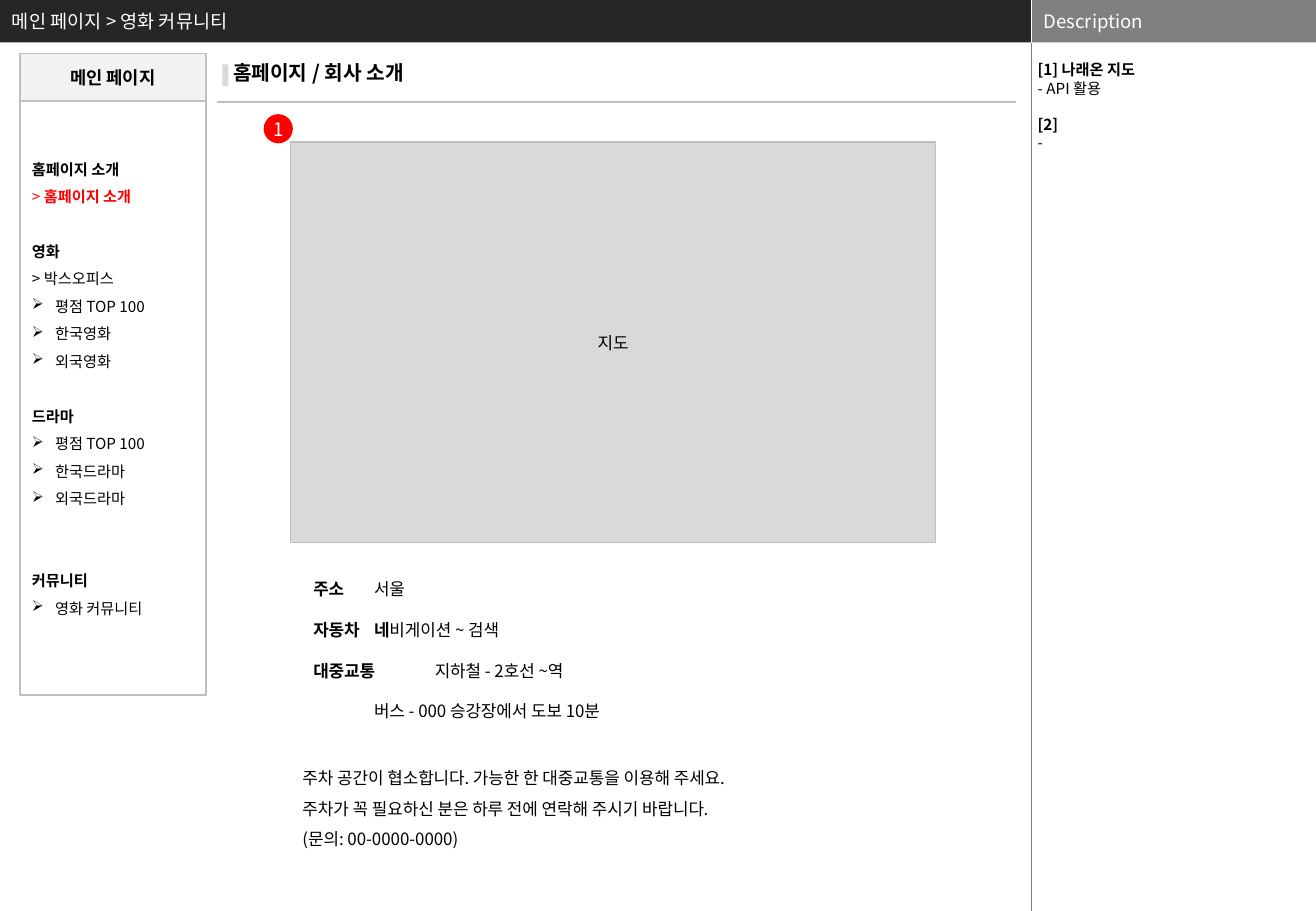
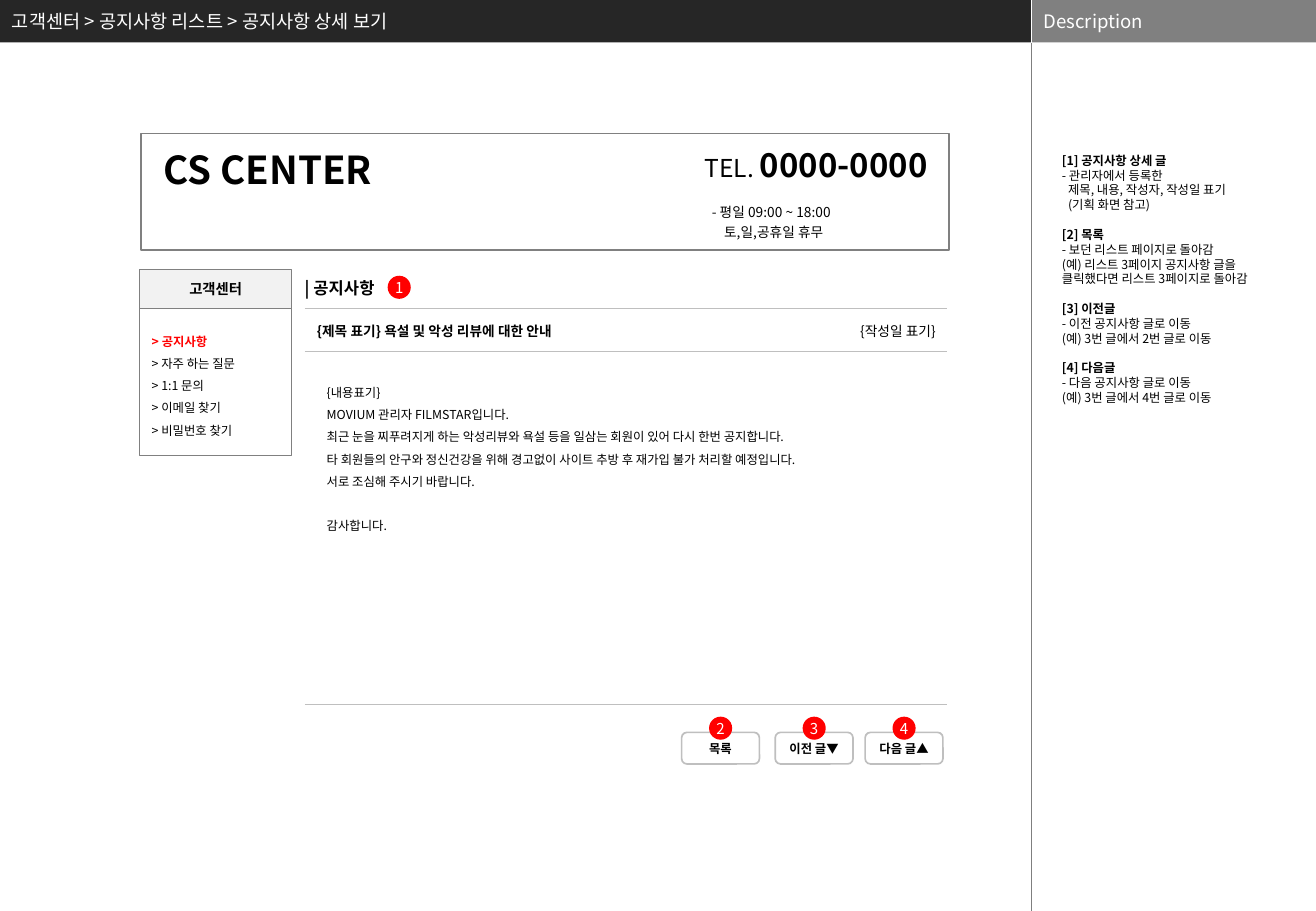
from lxml import etree
from pptx import Presentation
from pptx.dml.color import RGBColor
from pptx.enum.shapes import MSO_CONNECTOR, MSO_SHAPE
from pptx.enum.text import MSO_ANCHOR, PP_ALIGN
from pptx.oxml.ns import qn
from pptx.util import Inches, Pt

RECT, ROUND, OVAL = MSO_SHAPE.RECTANGLE, MSO_SHAPE.ROUNDED_RECTANGLE, MSO_SHAPE.OVAL
STRAIGHT = MSO_CONNECTOR.STRAIGHT
TOP, MIDDLE = MSO_ANCHOR.TOP, MSO_ANCHOR.MIDDLE
LEFT, CENTER = PP_ALIGN.LEFT, PP_ALIGN.CENTER

FONT = "Noto Sans CJK KR"
BLACK, WHITE, RED = "000000", "FFFFFF", "FF0000"
DARK, GREY, RULE = "262626", "808080", "BFBFBF"
PALE, FILL = "F2F2F2", "D9D9D9"

COLS, ROWS = 108.3, 75  # grid of 0.1 inch cells
MAIN, BAND = 84.9, 3.5  # main column's width, top band's height
LEAD = 1.205            # line height as a share of the text size


def cell(n):
    return Inches(n / 10)


def color(text):
    return RGBColor.from_string(text)


def para(*runs, **form):
    """A paragraph: each run is a string or a (string, format) pair."""
    return runs, form


def head(text, **form):
    return para((text, {"bold": True}), **form)


def point(text):
    return para(text, mark="➢", left=1.9)


def set_para(p, size, lead=1, gap=0, left=0, mark=None, tab=None, align=LEFT):
    """Gap is in lines; left and tab are in grid cells."""
    height = size * LEAD * lead
    p.alignment = align
    p.line_spacing = Pt(height)
    p.space_before = Pt(height * gap)
    props = p._p.get_or_add_pPr()
    props.set("marL", str(cell(left)))
    props.set("indent", str(-cell(left) if mark else 0))
    if mark:
        etree.SubElement(props, qn("a:buChar")).set("char", mark)
    if tab:
        stops = etree.SubElement(props, qn("a:tabLst"))
        stop = etree.SubElement(stops, qn("a:tab"))
        stop.set("pos", str(cell(tab)))
        stop.set("algn", "l")


def set_run(run, size, ink=BLACK, bold=False):
    font = run.font
    font.size, font.bold, font.name = Pt(size), bold, FONT
    font.color.rgb = color(ink)
    etree.SubElement(run._r.get_or_add_rPr(), qn("a:ea")).set("typeface", FONT)


def write(shape, paras, size, ink=BLACK, bold=False, anchor=TOP,
          pads=(1, 0.5, 1, 0.5), **form):
    """Fill a shape with text; pads are left, top, right, bottom in cells."""
    frame = shape.text_frame
    frame.word_wrap = True
    frame.vertical_anchor = anchor
    (frame.margin_left, frame.margin_top,
     frame.margin_right, frame.margin_bottom) = map(cell, pads)
    if isinstance(paras, str):
        paras = [para(paras)]
    for i, (runs, own) in enumerate(paras):
        p = frame.add_paragraph() if i else frame.paragraphs[0]
        set_para(p, **{"size": size, **form, **own})
        for item in runs:
            words, look = (item, {}) if isinstance(item, str) else item
            run = p.add_run()
            run.text = words
            set_run(run, **{"size": own.get("size", size), "ink": ink,
                            "bold": bold, **look})


def text(slide, at, paras, size, **form):
    write(slide.shapes.add_textbox(*map(cell, at)), paras, size, **form)


def block(slide, at, fill=None, edge=None, width=1, kind=RECT):
    shape = slide.shapes.add_shape(kind, *map(cell, at))
    shape.shadow.inherit = False
    if fill:
        shape.fill.solid()
        shape.fill.fore_color.rgb = color(fill)
    else:
        shape.fill.background()
    if edge:
        shape.line.color.rgb = color(edge)
        shape.line.width = Pt(width)
    else:
        shape.line.fill.background()
    return shape


def rule(slide, x, y, x2, y2, ink=RULE, width=0.5):
    line = slide.shapes.add_connector(STRAIGHT, *map(cell, (x, y, x2, y2)))
    line.line.color.rgb = color(ink)
    line.line.width = Pt(width)
    etree.SubElement(line._element.spPr, qn("a:effectLst"))


def badge(slide, x, y, side, label, size):
    dot = block(slide, (x, y, side, side), RED, kind=OVAL)
    write(dot, label, size, ink=WHITE, anchor=MIDDLE, align=CENTER,
          pads=(0, 0, 0, 0))


def menu(slide, at, top, title, lines, sizes, edge, width, foot=0.5):
    """A side menu: a title cell of height top over a list of links."""
    x, y, w, h = at
    body = block(slide, (x, y + top, w, h - top), None, edge, width)
    write(body, lines, sizes[1], lead=1.5, anchor=MIDDLE,
          pads=(1, 0.5, 0.5, foot))
    cap = block(slide, (x, y, w, top), PALE, edge, width)
    write(cap, title, sizes[0], bold=True, anchor=MIDDLE, align=CENTER)


def page(deck, trail):
    """Add a slide with the bands, the divider and the breadcrumb trail."""
    slide = deck.slides.add_slide(deck.slide_layouts[6])
    side = COLS - MAIN
    block(slide, (0, 0, MAIN, BAND), DARK)
    block(slide, (MAIN, 0, side, BAND), GREY)
    rule(slide, MAIN, 0, MAIN, BAND, WHITE, 0.25)
    rule(slide, MAIN, BAND, MAIN, ROWS, "7F7F7F", 0.25)
    text(slide, (MAIN, 0, side, BAND), "Description", 11, ink=WHITE, anchor=MIDDLE)
    text(slide, (0, 0, MAIN, BAND), trail, 11, ink=WHITE, anchor=MIDDLE)
    return slide


def intro(deck):
    slide = page(deck, "메인 페이지 > 영화 커뮤니티")
    text(slide, (85, 5, 23.3, 70), [
        head("[1] 나래온 지도"),
        para("- API 활용"),
        head("[2]", gap=1),
        para("-"),
    ], 9, pads=(0.4, 0, 0.4, 0))

    text(slide, (18.2, 4.5, 27.6, 3), "홈페이지 / 회사 소개", 12, bold=True)
    block(slide, (18.3, 5.3, 0.5, 1.8), FILL)
    rule(slide, 17.9, 8.4, 83.6, 8.4, width=0.75)
    menu(slide, (1.65, 4.4, 15.3, 52.8), 3.9, "메인 페이지", [
        head("홈페이지 소개"),
        para(("> ", {"ink": RED}), ("홈페이지 소개", {"ink": RED, "bold": True})),
        head("영화", gap=1),
        para("> 박스오피스"),
        *map(point, ("평점 TOP 100", "한국영화", "외국영화")),
        head("드라마", gap=1),
        *map(point, ("평점 TOP 100", "한국드라마", "외국드라마")),
        head("커뮤니티", gap=2),
        point("영화 커뮤니티"),
    ], (10.5, 9), RULE, 1, foot=2.75)

    place = block(slide, (23.9, 11.7, 53.1, 33), FILL, RULE, 0.75)
    write(place, "지도", 10, anchor=MIDDLE, align=CENTER)
    badge(slide, 21.7, 9.4, 2.4, "1", 11)
    bold = {"bold": True}
    text(slide, (24.8, 45.5, 52, 13.9), [
        para(("주소", bold), "\t서울"),
        para(("자동차", bold), ("\t네", bold), "비게이션 ~ 검색"),
        para(("대중교통", bold), "\t지하철 - 2호선 ~역"),
        para("\t버스 - 000 승강장에서 도보 10분"),
    ], 10, lead=2, tab=7.2)
    text(slide, (23.9, 61.9, 53.1, 8.6), [
        para("주차 공간이 협소합니다. 가능한 한 대중교통을 이용해 주세요."),
        para("주차가 꼭 필요하신 분은 하루 전에 연락해 주시기 바랍니다."),
        para("(문의: 00-0000-0000)"),
    ], 10, lead=1.5)


def notice(deck):
    slide = page(deck, "고객센터 > 공지사항 리스트 > 공지사항 상세 보기")
    text(slide, (87.1, 12.6, 19, 55.7), [
        head("[1] 공지사항 상세 글"),
        para("- 관리자에서 등록한"),
        para("제목, 내용, 작성자, 작성일 표기", left=0.5),
        para("(기획 화면 참고)", left=0.5),
        head("[2] 목록", gap=1),
        para("- 보던 리스트 페이지로 돌아감"),
        para("(예) 리스트 3페이지 공지사항 글을 클릭했다면 리스트 3페이지로 돌아감"),
        head("[3] 이전글", gap=1),
        para("- 이전 공지사항 글로 이동"),
        para("(예) 3번 글에서 2번 글로 이동"),
        head("[4] 다음글", gap=1),
        para("- 다음 공지사항 글로 이동"),
        para("(예) 3번 글에서 4번 글로 이동"),
    ], 7.3, pads=(0.3, 0, 0.3, 0))

    block(slide, (11.6, 11, 66.5, 9.6), None, GREY, 0.75)
    text(slide, (12.5, 11.5, 25.8, 4.8), "CS CENTER", 22.8, bold=True)
    text(slide, (57, 11.4, 21.5, 8.9), [
        para(("TEL. ", {"size": 14.6}), ("0000-0000", {"bold": True}), size=19.5),
        para("- 평일 09:00 ~ 18:00", gap=1.2, left=0.6),
        para("토,일,공휴일 휴무", gap=0.2, left=1.6),
    ], 8.1)

    menu(slide, (11.5, 22.2, 12.5, 15.3), 3.2, "고객센터", [
        para(("> 공지사항", {"ink": RED, "bold": True})),
        *map(para, ("> 자주 하는 질문", "> 1:1 문의", "> 이메일 찾기",
                    "> 비밀번호 찾기")),
    ], (8.5, 7.3), GREY, 0.5)

    text(slide, (24.1, 22.4, 12.7, 2.7), "| 공지사항", 9.8, bold=True)
    badge(slide, 31.9, 22.7, 1.9, "1", 8.9)
    for y in (25.4, 28.9, 58):
        rule(slide, 25.1, y, 77.9, y)
    text(slide, (25.1, 26.1, 29, 2.4), "{제목 표기} 욕설 및 악성 리뷰에 대한 안내",
         8.1, bold=True)
    text(slide, (68.9, 26.1, 10, 2.4), "{작성일 표기}", 8.1, align=CENTER)
    text(slide, (25.9, 30.6, 50.9, 13.7), [
        para("{내용표기}"),
        para("MOVIUM 관리자 FILMSTAR입니다."),
        para("최근 눈을 찌푸려지게 하는 악성리뷰와 욕설 등을 일삼는 회원이 있어 다시 한번 공지합니다."),
        para("타 회원들의 안구와 정신건강을 위해 경고없이 사이트 추방 후 재가입 불가 처리할 예정입니다."),
        para("서로 조심해 주시기 바랍니다."),
        para("감사합니다.", gap=1),
    ], 7.3, lead=1.5)

    keys = ((56.1, "목록"), (63.8, "이전 글▼"), (71.2, "다음 글▲"))
    for num, (x, label) in enumerate(keys, 2):
        key = block(slide, (x, 60.3, 6.4, 2.6), WHITE, RULE, kind=ROUND)
        write(key, label, 7.3, bold=True, anchor=MIDDLE, align=CENTER,
              pads=(0, 0, 0, 0))
        badge(slide, x + 2.25, 59, 1.9, str(num), 8.9)


def main():
    deck = Presentation()
    deck.slide_width, deck.slide_height = cell(COLS), cell(ROWS)
    intro(deck)
    notice(deck)
    deck.save("out.pptx")


if __name__ == "__main__":
    main()
